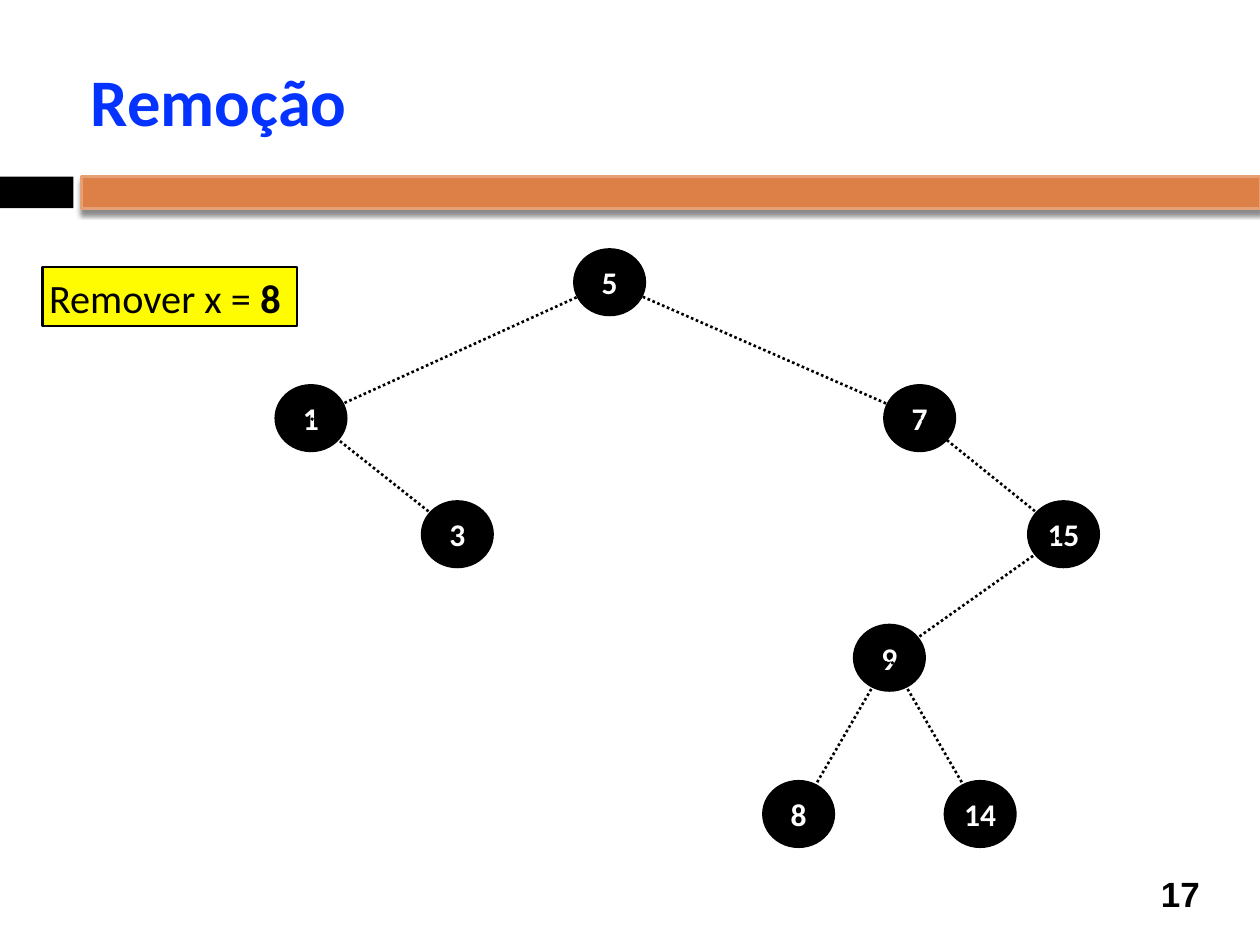
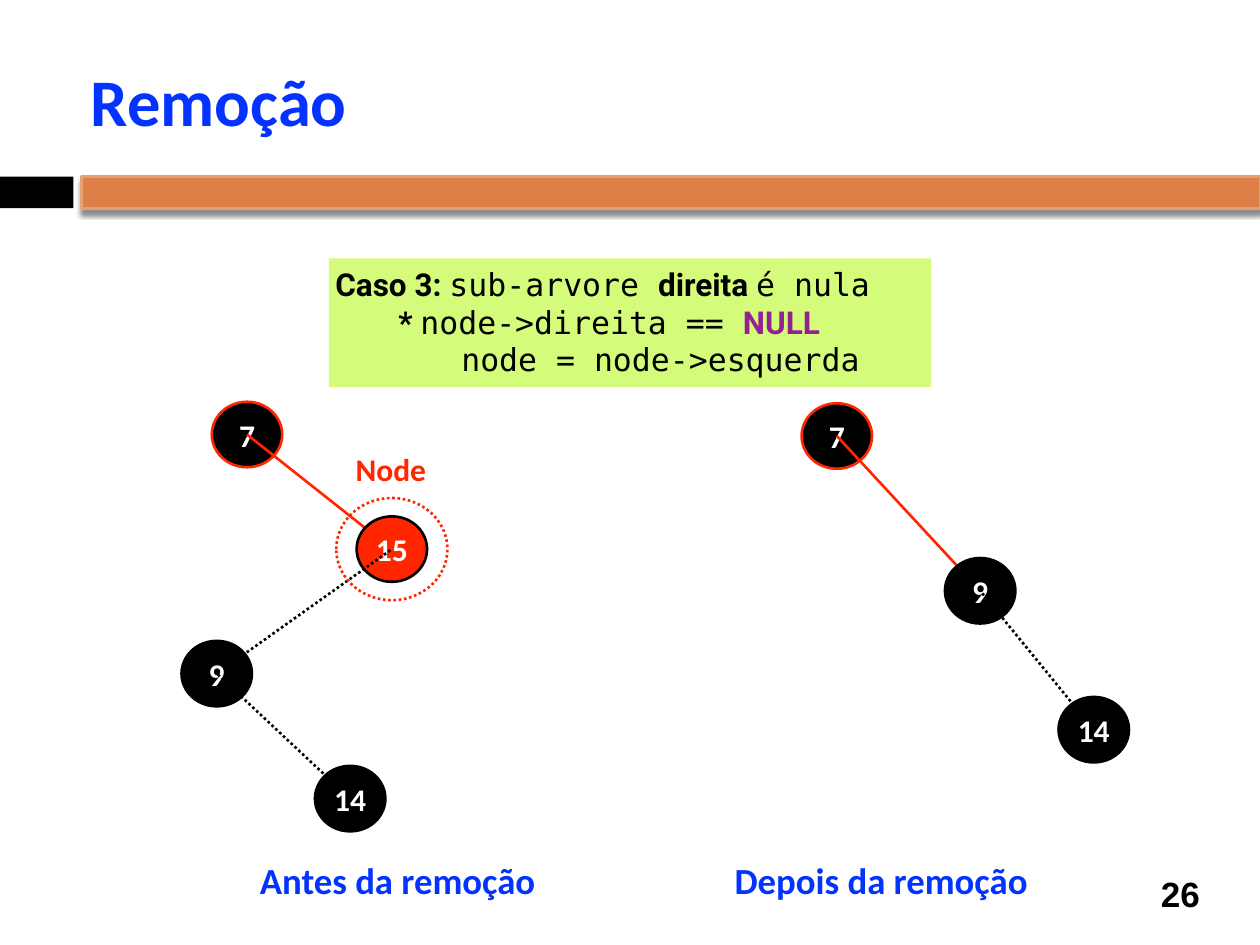
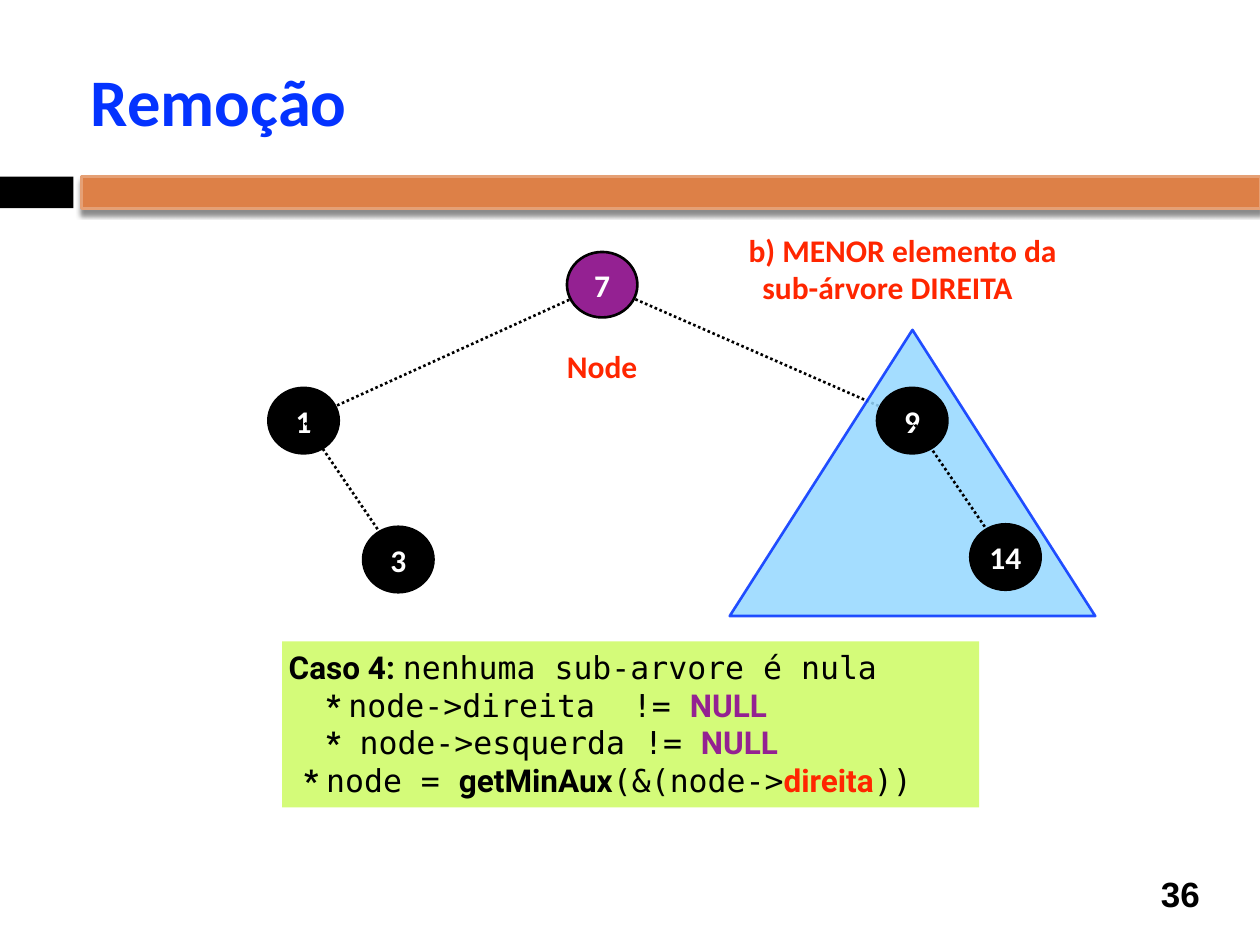
from lxml.etree import SubElement
from pptx import Presentation
from pptx.dml.color import RGBColor
from pptx.enum.dml import MSO_LINE
from pptx.enum.shapes import MSO_CONNECTOR, MSO_SHAPE
from pptx.enum.text import MSO_ANCHOR, MSO_AUTO_SIZE, PP_ALIGN
from pptx.oxml.ns import qn
from pptx.util import Cm, Pt

BLACK, WHITE, RED, BLUE, PURPLE = "000000", "FFFFFF", "FF2600", "0433FF", "942192"
ORANGE, LIGHT_ORANGE, YELLOW, LIME, SKY = "DD8047", "E5A075", "FFFB00", "D4FB79", "95D8FF"

# Text styles: font, size, colour, bold
STYLES = {
    "title": ("Calibri", 38, BLUE, True),
    "number": ("Arial", 20, BLACK, True),
    "node": ("Calibri", 18, WHITE, True),
    "note": ("Calibri", 18, RED, True),
    "caption": ("Calibri", 21, BLUE, True),
    "task": ("Calibri", 23, BLACK, False),
    "task value": ("Calibri", 23, BLACK, True),
    "code": ("DejaVu Sans Mono", 18, BLACK, False),
    "strong": ("Roboto", 18, BLACK, True),
    "null": ("Roboto", 18, PURPLE, True),
    "target": ("Roboto", 18, RED, True),
}

TITLE = "Remoção"
NODE_WIDTH, NODE_HEIGHT = 1.42, 1.32
LINE_WIDTH = 1.5

# A tree lists (value, centre x, centre y, parent) in cm, its root first.
# "colours" gives (fill, outline) for nodes that are not plain black.
# A text is a list of lines, each (indent in cm, runs), a run being (text, style).
SLIDES = [
    {
        "number": "17",
        "trees": [{
            "nodes": [
                ("5", 12.29, 5.69, None), ("7", 18.54, 8.43, "5"),
                ("1", 6.27, 8.43, "5"), ("3", 9.22, 10.77, "1"),
                ("15", 21.44, 10.77, "7"), ("9", 17.93, 13.26, "15"),
                ("8", 16.1, 16.41, "9"), ("14", 19.76, 16.41, "9"),
            ],
            "root over links": True,
        }],
        "panels": [((0.86, 5.38, 5.13, 1.19), YELLOW, BLACK,
                    [(0, [("Remover x = ", "task"), ("8", "task value")])])],
    },
    {
        "number": "26",
        "trees": [
            {
                "nodes": [
                    ("7", 4.98, 8.76, None), ("15", 7.9, 11.07, "7"),
                    ("9", 4.37, 13.58, "15"), ("14", 7.06, 16.1, "9"),
                ],
                "colours": {"7": (BLACK, RED), "15": (RED, BLACK)},
                "ringed": "15",
            },
            {
                "nodes": [
                    ("7", 16.87, 8.79, None), ("9", 19.76, 11.91, "7"),
                    ("14", 22.05, 14.71, "9"),
                ],
                "colours": {"7": (BLACK, RED)},
            },
        ],
        "panels": [((6.63, 5.21, 12.14, 2.59), LIME, None, [
            (0, [("Caso 3: ", "strong"), ("sub-arvore ", "code"),
                 ("direita ", "strong"), ("é nula", "code")]),
            (1.27, [("* ", "strong"), ("node->direita == ", "code"), ("NULL", "null")]),
            (2.54, [("node = node->esquerda", "code")]),
        ])],
        "labels": [
            ((7.04, 8.94, 1.7, 0.91), [(0, [("Node", "note")])]),
            ((5.11, 17.17, 5.89, 1.07), [(0, [("Antes da remoção", "caption")])]),
            ((14.68, 17.17, 6.25, 1.07), [(0, [("Depois da remoção", "caption")])]),
        ],
    },
    {
        "number": "36",
        "trees": [{
            "nodes": [
                ("7", 12.14, 5.74, None), ("1", 6.12, 8.48, "7"),
                ("3", 8.03, 11.28, "1"), ("9", 18.39, 8.48, "7"),
                ("14", 20.27, 11.23, "9"),
            ],
            "colours": {"7": (PURPLE, BLACK)},
            "root over links": True,
            "subtree": (14.71, 6.65, 7.37, 5.77),
        }],
        "panels": [((5.69, 12.93, 14.05, 3.35), LIME, None, [
            (0, [("Caso 4: ", "strong"), ("nenhuma sub-arvore é nula", "code")]),
            (0.76, [("* ", "strong"), ("node->direita  != ", "code"), ("NULL", "null")]),
            (0.76, [("*", "strong"), (" node->esquerda != ", "code"), ("NULL", "null")]),
            (0.31, [("* ", "strong"), ("node = ", "code"), ("getMinAux", "strong"),
                    ("(&(node->", "code"), ("direita", "target"), ("))", "code")]),
        ])],
        "labels": [
            ((14.96, 4.52, 6.68, 1.6), [(0, [("b) MENOR elemento da", "note")]),
                                        (0.28, [("sub-árvore DIREITA", "note")])]),
            ((11.3, 6.86, 1.7, 0.91), [(0, [("Node", "note")])]),
        ],
    },
]


def rgb(colour):
    return RGBColor.from_string(colour)


def lengths(box):
    return [Cm(value) for value in box]


def centred_box(x, y, width, height):
    return x - width / 2, y - height / 2, width, height


def apply_style(font, style):
    font.name, size, colour, font.bold = STYLES[style]
    font.size = Pt(size)
    font.color.rgb = rgb(colour)


def write(frame, lines, align=PP_ALIGN.LEFT, anchor=MSO_ANCHOR.TOP, wrap=True):
    frame.auto_size = MSO_AUTO_SIZE.NONE
    frame.word_wrap = wrap
    frame.vertical_anchor = anchor
    frame.margin_left = frame.margin_right = Cm(0.13)
    frame.margin_top = frame.margin_bottom = Cm(0.13)
    for index, (indent, runs) in enumerate(lines):
        paragraph = frame.add_paragraph() if index else frame.paragraphs[0]
        paragraph.alignment = align
        if indent:
            paragraph._p.get_or_add_pPr().set("marL", str(Cm(indent)))
        same_style = len({style for _, style in runs}) == 1
        for text, style in runs:
            run = paragraph.add_run()
            run.text = text
            apply_style(paragraph.font if same_style else run.font, style)


def add_shape(slide, kind, box, fill=None, outline=None):
    shape = slide.shapes.add_shape(kind, *lengths(box))
    if fill:
        shape.fill.solid()
        shape.fill.fore_color.rgb = rgb(fill)
    else:
        shape.fill.background()
    if outline:
        shape.line.color.rgb = rgb(outline)
        shape.line.width = Pt(LINE_WIDTH)
    else:
        shape.line.fill.background()
    shape.shadow.inherit = False
    return shape


def add_label(slide, box, lines, **layout):
    write(slide.shapes.add_textbox(*lengths(box)).text_frame, lines, **layout)


def add_frame(slide, number):
    """Add what all slides share: bands, slide number and title."""
    add_shape(slide, MSO_SHAPE.RECTANGLE, (0, 3.56, 1.48, 0.64), BLACK)
    band = add_shape(slide, MSO_SHAPE.RECTANGLE, (1.65, 3.56, 23.75, 0.64),
                     ORANGE, LIGHT_ORANGE)
    shadow = SubElement(band.element.spPr.find(qn("a:effectLst")), qn("a:outerShdw"),
                        blurRad=str(Pt(3)), dist=str(Pt(2.4)), dir="5400000",
                        rotWithShape="0")
    colour = SubElement(shadow, qn("a:srgbClr"), val=BLACK)
    SubElement(colour, qn("a:alpha"), val="45000")

    add_label(slide, (23.06, 17.5, 1.47, 1.04), [(0, [(number, "number")])],
              align=PP_ALIGN.CENTER, anchor=MSO_ANCHOR.MIDDLE)
    title = slide.shapes.title
    title.left, title.top, title.width, title.height = lengths((1.7, 0.64, 22.66, 2.74))
    write(title.text_frame, [(0, [(TITLE, "title")])], anchor=MSO_ANCHOR.MIDDLE)


def add_link(slide, start, end, colour):
    """Join two centres: dotted when black, solid when highlighted."""
    link = slide.shapes.add_connector(MSO_CONNECTOR.STRAIGHT, *lengths(start + end))
    link.line.color.rgb = rgb(colour)
    link.line.width = Pt(LINE_WIDTH)
    if colour == BLACK:
        link.line.dash_style = MSO_LINE.ROUND_DOT
    SubElement(link.element.spPr, qn("a:effectLst"))


def add_node(slide, value, centre, fill, outline):
    node = add_shape(slide, MSO_SHAPE.OVAL,
                     centred_box(*centre, NODE_WIDTH, NODE_HEIGHT), fill, outline)
    write(node.text_frame, [(0, [(value, "node")])],
          align=PP_ALIGN.CENTER, anchor=MSO_ANCHOR.MIDDLE)


def add_subtree_triangle(slide, box):
    triangle = add_shape(slide, MSO_SHAPE.ISOSCELES_TRIANGLE, box, SKY, BLUE)
    for colour in triangle.element.spPr.iter(qn("a:srgbClr")):
        SubElement(colour, qn("a:alpha"), val="85000")


def add_tree(slide, tree):
    centres = {value: (x, y) for value, x, y, _ in tree["nodes"]}
    parents = {value: parent for value, _, _, parent in tree["nodes"]}
    colours = {value: (BLACK, BLACK) for value in centres} | tree.get("colours", {})
    root, *others = centres
    behind_root = [value for value in others
                   if tree.get("root over links") and parents[value] == root]

    def link_to_parent(value):
        parent = parents[value]
        add_link(slide, centres[value], centres[parent], colours[parent][1])

    for value in behind_root:
        link_to_parent(value)
    add_node(slide, root, centres[root], *colours[root])
    if "subtree" in tree:
        add_subtree_triangle(slide, tree["subtree"])
    for value in behind_root:
        add_node(slide, value, centres[value], *colours[value])
    for value in others:
        if value not in behind_root:
            link_to_parent(value)
            add_node(slide, value, centres[value], *colours[value])
    if "ringed" in tree:
        ring = add_shape(slide, MSO_SHAPE.OVAL,
                         centred_box(*centres[tree["ringed"]], 2.24, 2.06), outline=RED)
        ring.line.dash_style = MSO_LINE.ROUND_DOT


def main():
    presentation = Presentation()
    presentation.slide_width, presentation.slide_height = Cm(25.4), Cm(19.05)
    title_only = presentation.slide_layouts[5]
    for content in SLIDES:
        slide = presentation.slides.add_slide(title_only)
        add_frame(slide, content["number"])
        for tree in content["trees"]:
            add_tree(slide, tree)
        for box, fill, outline, lines in content["panels"]:
            panel = add_shape(slide, MSO_SHAPE.RECTANGLE, box, fill, outline)
            write(panel.text_frame, lines, wrap=outline is None)
        for box, lines in content.get("labels", []):
            add_label(slide, box, lines, wrap=False)
    presentation.save("out.pptx")


if __name__ == "__main__":
    main()
